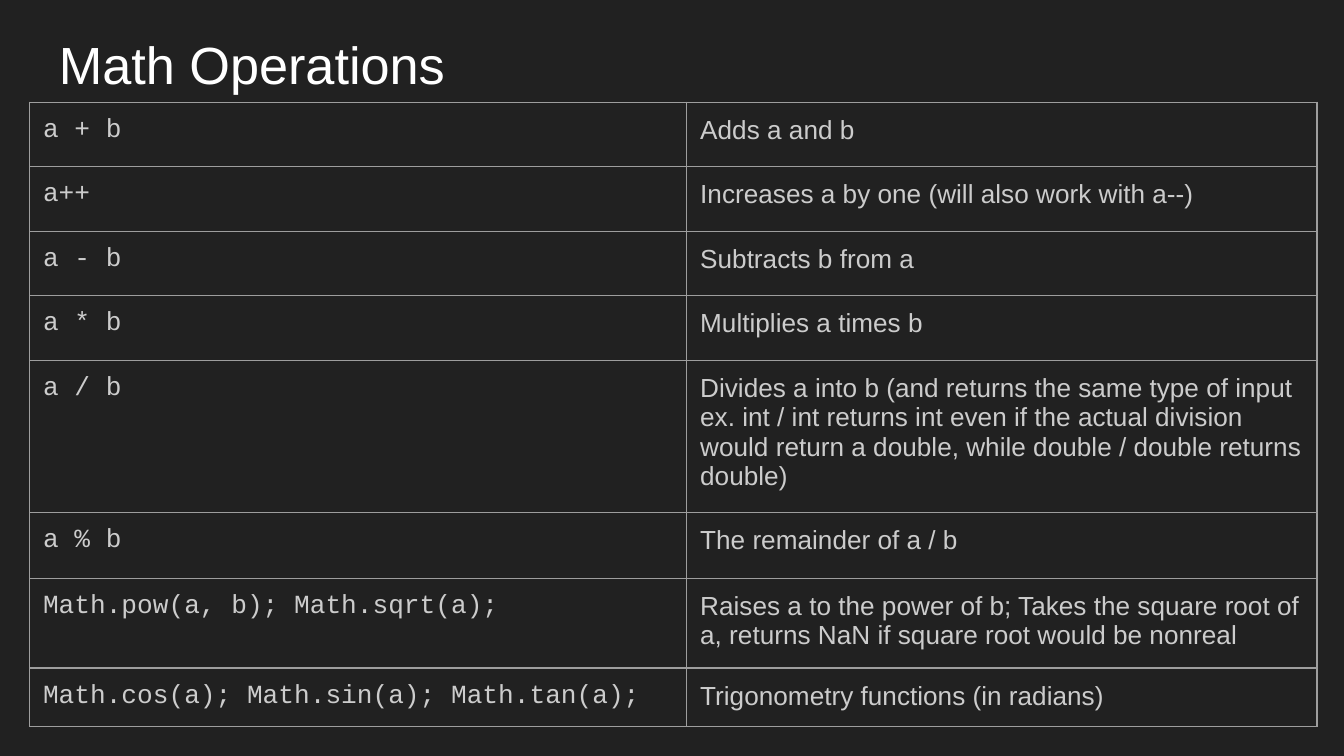
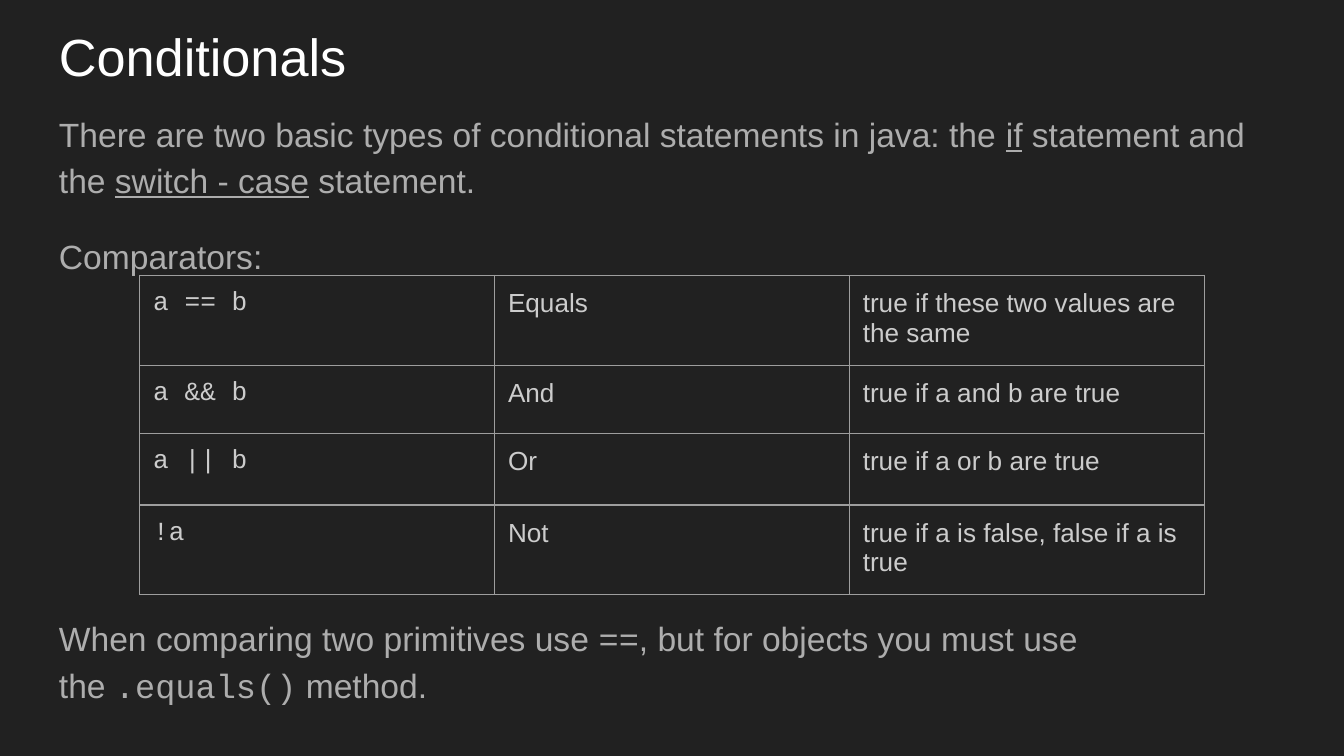
from dataclasses import dataclass

from lxml.etree import SubElement
from pptx import Presentation
from pptx.dml.color import RGBColor
from pptx.enum.text import MSO_ANCHOR
from pptx.oxml.ns import qn
from pptx.slide import Slide
from pptx.table import _Cell
from pptx.text.text import _Run
from pptx.util import Inches, Pt

COLORS = {
    "background": "212121",
    "title": "FFFFFF",
    "body": "ADADAD",
    "cell": "CCCCCC",
    "border": "9E9E9E",
}
SANS, MONO = "Arial", "Courier New"
MARGIN_LEFT, FULL_WIDTH = 0.34, 9.32
INSET = Inches(0.1)
CELL_SIZE = 14


@dataclass
class Span:
    text: str
    font: str = SANS
    underline: bool = False


@dataclass
class BodyParagraph:
    spans: list[Span]
    space_before: int = 0


@dataclass
class TableSpec:
    left: float
    top: float
    col_widths: list[float]
    row_heights: list[float]
    rows: list[tuple[str, ...]]


OPERATIONS = TableSpec(
    0.22, 0.76, [4.89, 4.69], [0.48] * 4 + [1.09, 0.49, 0.43, 0.43],
    [
        ("a + b", "Adds a and b"),
        ("a++", "Increases a by one (will also work with a--)"),
        ("a - b", "Subtracts b from a"),
        ("a * b", "Multiplies a times b"),
        ("a / b", "Divides a into b (and returns the same type of input ex. "
                  "int / int returns int even if the actual division would "
                  "return a double, while double / double returns double)"),
        ("a % b", "The remainder of a / b"),
        ("Math.pow(a, b); Math.sqrt(a);",
         "Raises a to the power of b; Takes the square root of a, "
         "returns NaN if square root would be nonreal"),
        ("Math.cos(a); Math.sin(a); Math.tan(a);",
         "Trigonometry functions (in radians)"),
    ],
)
COMPARATORS = TableSpec(
    1.04, 2.05, [2.64] * 3, [0.51, 0.51, 0.53, 0.51],
    [
        ("a == b", "Equals", "true if these two values are the same"),
        ("a && b", "And", "true if a and b are true"),
        ("a || b", "Or", "true if a or b are true"),
        ("!a", "Not", "true if a is false, false if a is true"),
    ],
)
CONDITIONALS = [
    BodyParagraph([
        Span("There are two basic types of conditional statements in java: the "),
        Span("if", underline=True),
        Span(" statement and the "),
        Span("switch - case", underline=True),
        Span(" statement."),
    ]),
    BodyParagraph([Span("Comparators:")]),
    BodyParagraph([
        Span("When comparing two primitives use "),
        Span("==", MONO),
        Span(", but for objects you must use the "),
        Span(".equals()", MONO),
        Span(" method."),
    ], space_before=164),
]


def style_run(r: _Run, size: int, color: str, font: str = SANS) -> None:
    r.font.size = Pt(size)
    r.font.name = font
    r.font.color.rgb = RGBColor.from_string(COLORS[color])


def add_text_frame(s: Slide, top: float, height: float):
    tf = s.shapes.add_textbox(Inches(MARGIN_LEFT), Inches(top),
                              Inches(FULL_WIDTH), Inches(height)).text_frame
    tf.word_wrap = True
    tf.margin_left = tf.margin_right = tf.margin_top = tf.margin_bottom = INSET
    return tf


def add_slide(prs: Presentation, title: str, title_top: float) -> Slide:
    s = prs.slides.add_slide(prs.slide_layouts[6])
    s.background.fill.solid()
    s.background.fill.fore_color.rgb = RGBColor.from_string(COLORS["background"])
    tf = add_text_frame(s, title_top, 0.63)
    tf.text = title
    style_run(tf.paragraphs[0].runs[0], 28, "title")
    return s


def add_body(s: Slide, top: float, height: float,
             paragraphs: list[BodyParagraph]) -> None:
    tf = add_text_frame(s, top, height)
    for i, paragraph in enumerate(paragraphs):
        p = tf.add_paragraph() if i else tf.paragraphs[0]
        p.line_spacing = 1.15
        p.space_before = Pt(paragraph.space_before)
        p.space_after = Pt(16)
        for span in paragraph.spans:
            r = p.add_run()
            r.text = span.text
            style_run(r, 18, "body", span.font)
            r.font.underline = span.underline


def set_borders(cell: _Cell) -> None:
    """Outline the cell; the line elements must come before its fill."""
    tc_pr = cell._tc.get_or_add_tcPr()
    for i, side in enumerate(("lnL", "lnR", "lnT", "lnB")):
        ln = SubElement(tc_pr, qn(f"a:{side}"), w=str(Pt(0.75)))
        fill = SubElement(ln, qn("a:solidFill"))
        SubElement(fill, qn("a:srgbClr"), val=COLORS["border"])
        tc_pr.insert(i, ln)


def fill_cell(cell: _Cell, text: str, font: str) -> None:
    cell.text = text
    cell.vertical_anchor = MSO_ANCHOR.TOP
    cell.margin_left = cell.margin_right = INSET
    cell.margin_top = cell.margin_bottom = INSET
    cell.fill.background()
    set_borders(cell)
    p = cell.text_frame.paragraphs[0]
    style_run(p.runs[0], CELL_SIZE, "cell", font)
    # The paragraph end must not be taller than the text, or the row grows.
    SubElement(p._p, qn("a:endParaRPr"), sz=str(CELL_SIZE * 100))


def add_grid(s: Slide, spec: TableSpec) -> None:
    """Draw an outlined table whose first column holds code."""
    table = s.shapes.add_table(
        len(spec.rows), len(spec.col_widths), Inches(spec.left), Inches(spec.top),
        Inches(sum(spec.col_widths)), Inches(sum(spec.row_heights))).table
    table.first_row = table.horz_banding = False
    for column, width in zip(table.columns, spec.col_widths):
        column.width = Inches(width)
    for row, height, texts in zip(table.rows, spec.row_heights, spec.rows):
        row.height = Inches(height)
        for i, (cell, text) in enumerate(zip(row.cells, texts)):
            fill_cell(cell, text, SANS if i else MONO)


def main() -> None:
    prs = Presentation()
    prs.slide_width = Inches(10)
    prs.slide_height = prs.slide_width * 9 // 16

    s = add_slide(prs, "Math Operations", 0.14)
    add_grid(s, OPERATIONS)

    s = add_slide(prs, "Conditionals", 0.08)
    add_body(s, 0.7, 4.8, CONDITIONALS)
    add_grid(s, COMPARATORS)

    prs.save("out.pptx")


if __name__ == "__main__":
    main()
